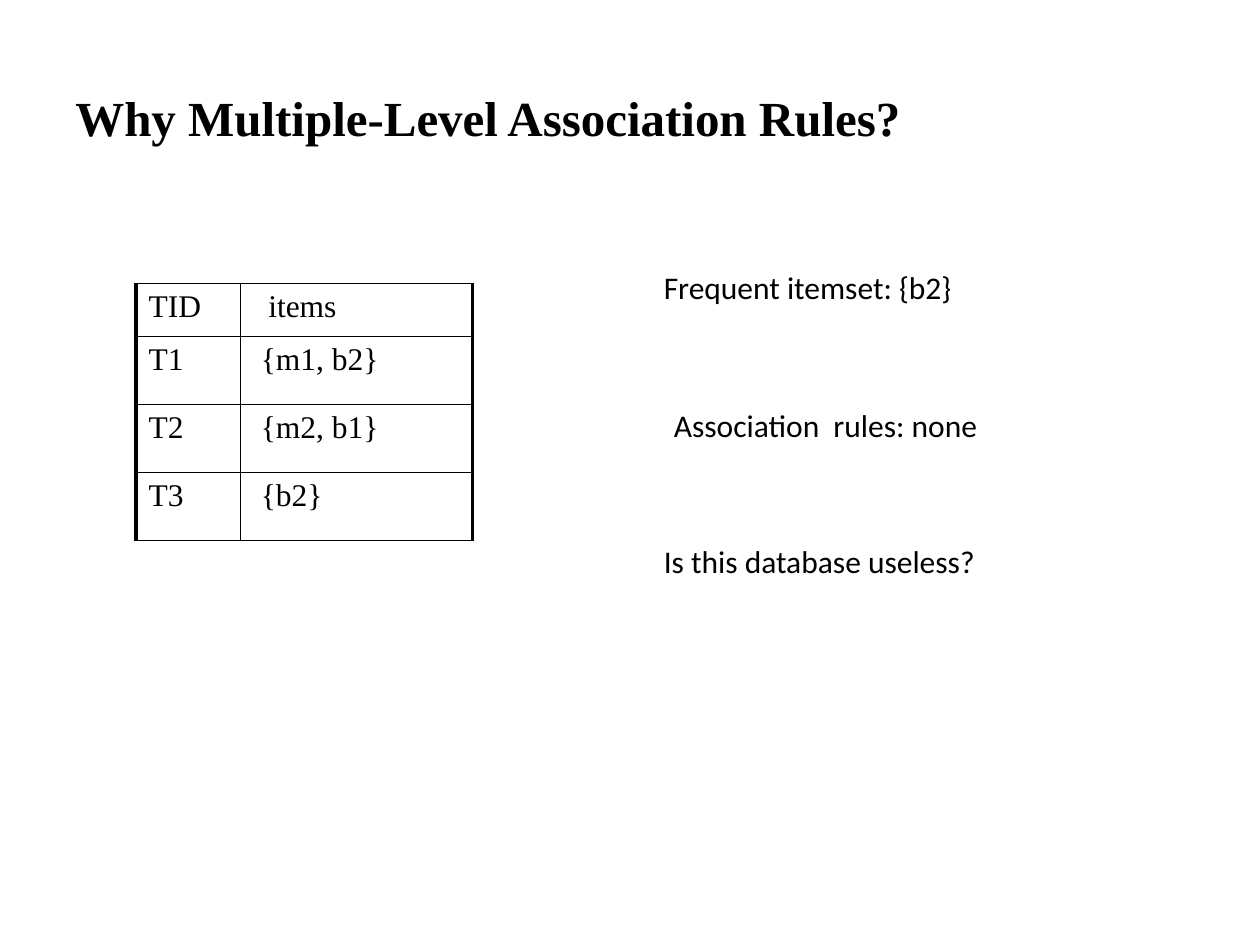
from lxml import etree
from pptx import Presentation
from pptx.dml.color import RGBColor
from pptx.enum.text import MSO_ANCHOR as Anchor
from pptx.oxml.ns import qn
from pptx.util import Inches, Pt

BLACK = "000000"
SERIF = "Times New Roman"


def style(para, face, size, bold=False):
    font = para.font
    font.name, font.size, font.bold = face, Pt(size), bold
    font.color.rgb = RGBColor.from_string(BLACK)


def edge(cell, side, width):
    line = etree.SubElement(cell._tc.get_or_add_tcPr(), qn("a:ln" + side), w=str(Pt(width)))
    fill = etree.SubElement(line, qn("a:solidFill"))
    etree.SubElement(fill, qn("a:srgbClr"), val=BLACK)


deck = Presentation()
deck.slide_width, deck.slide_height = Inches(10), Inches(7.5)
slide = deck.slides.add_slide(deck.slide_layouts[6])
shapes = slide.shapes

# Title
title = shapes.add_textbox(Inches(0.5), Inches(0.33), Inches(9), Inches(1.25)).text_frame
title.word_wrap = True
title.vertical_anchor = Anchor.MIDDLE
title.text = "Why Multiple-Level Association Rules?"
title.paragraphs[0].line_spacing = 0.9
style(title.paragraphs[0], SERIF, 28, True)

# Transaction table, with heavy outer sides
rows = [("TID", "items"), ("T1", "{m1, b2}"), ("T2", "{m2, b1}"), ("T3", "{b2}")]
table = shapes.add_table(len(rows), 2, Inches(1.08), Inches(2.25),
                         Inches(2.67), Inches(2.04)).table
table.first_row = table.horz_banding = False
for col, width in zip(table.columns, (0.83, 1.84)):
    col.width = Inches(width)
for r, row in enumerate(rows):
    table.rows[r].height = Inches(0.54 if r else 0.42)
    for c, text in enumerate(row):
        cell = table.cell(r, c)
        cell.text = text
        style(cell.text_frame.paragraphs[0], SERIF, 18)
        if c:
            cell.margin_left = Inches(0.16 if r else 0.22)
        for side in "LRTB":
            edge(cell, side, 2.25 if (side, c) in (("L", 0), ("R", 1)) else 1)
        cell.fill.background()

# Findings beside the table
notes = [
    (5.17, 2.08, 2.66, "Frequent itemset: {b2}"),
    (5.25, 3.17, 2.85, "Association  rules: none"),
    (5.17, 4.25, 3.01, "Is this database useless?"),
]
for left, top, width, text in notes:
    frame = shapes.add_textbox(Inches(left), Inches(top), Inches(width), Inches(0.4)).text_frame
    frame.word_wrap = False
    frame.text = text
    style(frame.paragraphs[0], "Calibri", 18)

deck.save("out.pptx")
